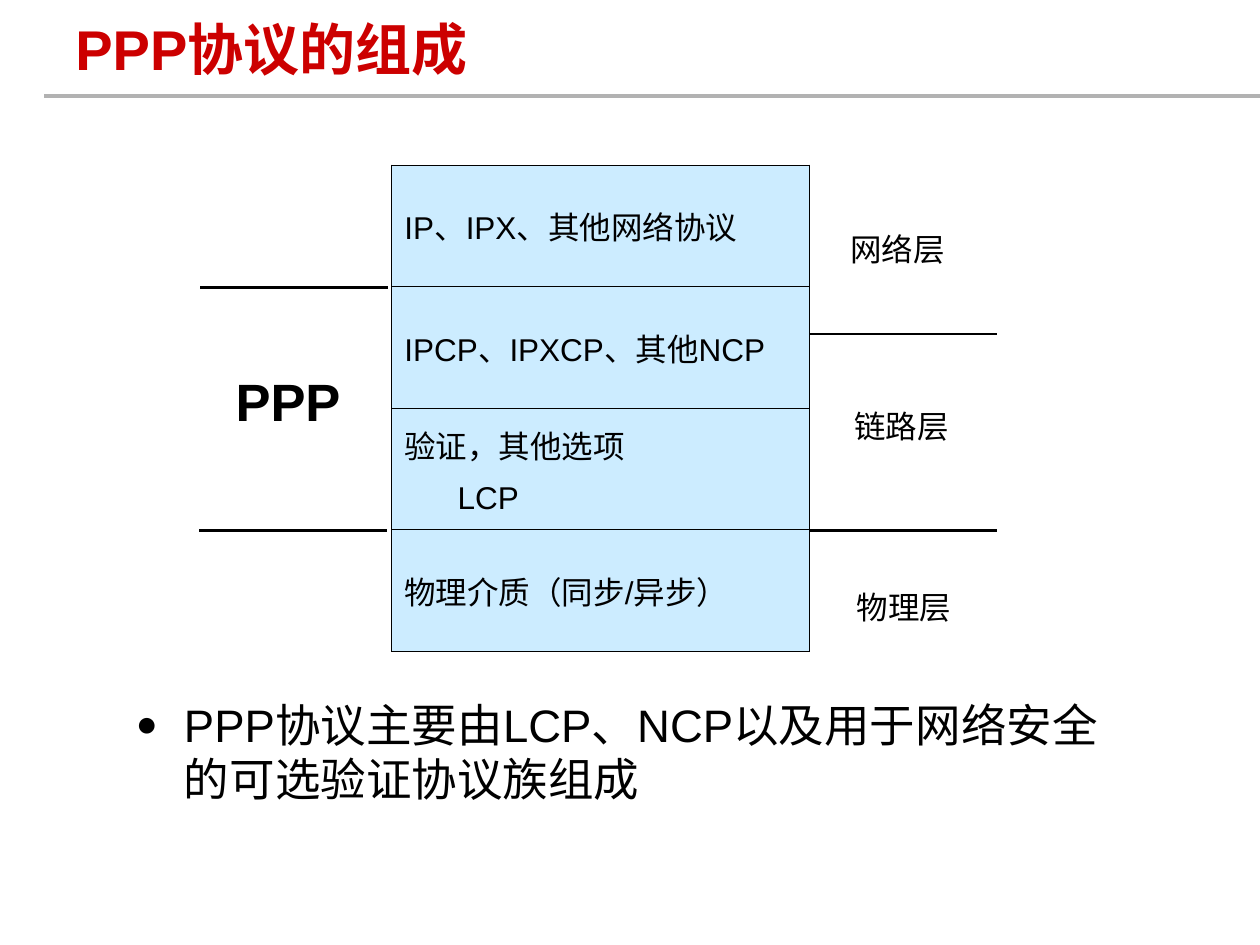
"""Build the slide on the parts of the PPP protocol."""
from dataclasses import dataclass

from lxml import etree
from pptx import Presentation
from pptx import util as u
from pptx.dml.color import RGBColor
from pptx.enum import shapes, text
from pptx.oxml import ns

COLOURS = {"title": "CC0000", "ink": "000000", "cell": "CCECFF", "rule": "B2B2B2"}
FONT = "Arial"
STACK_LEFT, STACK_TOP, STACK_WIDTH, LAYER_HEIGHT = 7.9, 3.33, 8.41, 2.45
STACK_RIGHT = STACK_LEFT + STACK_WIDTH
LCP_INDENT, BULLET_INDENT = 1.07, 0.97
LAYERS = [
    ["IP、IPX、其他网络协议"],
    ["IPCP、IPXCP、其他NCP"],
    ["验证，其他选项", "LCP"],
    ["物理介质（同步/异步）"],
]


@dataclass
class Label:
    """A piece of text and its place in centimetres."""
    words: str
    left: float
    top: float
    width: float
    height: float
    size: float = 18
    bold: bool = False
    colour: str = "ink"
    middle: bool = False
    grow: bool = True


@dataclass
class Rule:
    """A horizontal line in centimetres."""
    start: float
    end: float
    y: float
    weight: float = 1.5
    colour: str = "ink"


LABELS = [
    Label("PPP协议的组成", 1.27, 0.13, 20.12, 1.7, 32, True, "title", True, False),
    Label("PPP", 4.5, 7.32, 3.2, 1.52, 30, True),
    Label("网络层", 16.89, 4.52, 3.2, 1.02),
    Label("链路层", 16.97, 8.08, 3.81, 1.02),
    Label("物理层", 17.02, 11.73, 3.81, 1.02),
]
SUMMARY = Label("PPP协议主要由LCP、NCP以及用于网络安全的可选验证协议族组成",
                2.49, 13.92, 20.8, 3.4, 26, grow=False)
RULES = [
    Rule(0.89, 25.4, 1.93, 2.25, "rule"),
    Rule(20.09, STACK_RIGHT, 6.73),
    Rule(20.09, STACK_RIGHT, 10.69),
    Rule(7.82, 4.04, 5.79),
    Rule(7.8, 4.01, 10.69),
]


def rgb(name: str) -> RGBColor:
    """Look up a named colour."""
    return RGBColor.from_string(COLOURS[name])


def format_runs(paragraph, size: float, colour: str = "ink", bold: bool = False) -> None:
    """Set the font of every run in a paragraph."""
    for run in paragraph.runs:
        run.font.name, run.font.size, run.font.bold = FONT, u.Pt(size), bold
        run.font.color.rgb = rgb(colour)


def add_label(slide, label: Label):
    """Add a text box and return its paragraph."""
    box = slide.shapes.add_textbox(u.Cm(label.left), u.Cm(label.top),
                                   u.Cm(label.width), u.Cm(label.height))
    frame = box.text_frame
    frame.text = label.words
    frame.word_wrap = True
    frame.auto_size = (text.MSO_AUTO_SIZE.SHAPE_TO_FIT_TEXT if label.grow
                       else text.MSO_AUTO_SIZE.NONE)
    frame.vertical_anchor = text.MSO_ANCHOR.MIDDLE if label.middle else text.MSO_ANCHOR.TOP
    format_runs(frame.paragraphs[0], label.size, label.colour, label.bold)
    return frame.paragraphs[0]


def add_bullet(paragraph) -> None:
    """Give a paragraph a hanging round bullet."""
    properties = paragraph._p.get_or_add_pPr()
    properties.set("marL", str(u.Cm(BULLET_INDENT)))
    properties.set("indent", str(-u.Cm(BULLET_INDENT)))
    colour = etree.SubElement(properties, ns.qn("a:buClr"))
    etree.SubElement(colour, ns.qn("a:srgbClr"), val=COLOURS["ink"])
    etree.SubElement(properties, ns.qn("a:buSzPct"), val="80000")
    etree.SubElement(properties, ns.qn("a:buFont"), typeface=FONT)
    etree.SubElement(properties, ns.qn("a:buChar"), char="●")


def add_rule(slide, rule: Rule) -> None:
    """Draw a horizontal line without a shadow."""
    line = slide.shapes.add_connector(shapes.MSO_CONNECTOR.STRAIGHT, u.Cm(rule.start),
                                      u.Cm(rule.y), u.Cm(rule.end), u.Cm(rule.y))
    line.line.color.rgb = rgb(rule.colour)
    line.line.width = u.Pt(rule.weight)
    etree.SubElement(line._element.spPr, ns.qn("a:effectLst"))


def add_borders(cell) -> None:
    """Draw thin lines on all four sides of a cell."""
    properties = cell._tc.get_or_add_tcPr()
    for side in ("lnL", "lnR", "lnT", "lnB"):
        line = etree.SubElement(properties, ns.qn(f"a:{side}"), w=str(u.Pt(0.75)))
        fill = etree.SubElement(line, ns.qn("a:solidFill"))
        etree.SubElement(fill, ns.qn("a:srgbClr"), val=COLOURS["ink"])


def add_stack(slide) -> None:
    """Add the table of protocol layers."""
    stack = slide.shapes.add_table(
        len(LAYERS), 1, u.Cm(STACK_LEFT), u.Cm(STACK_TOP), u.Cm(STACK_WIDTH),
        u.Cm(LAYER_HEIGHT * len(LAYERS))).table
    stack.first_row = stack.horz_banding = False
    for row, lines in enumerate(LAYERS):
        cell = stack.cell(row, 0)
        cell.text_frame.text = "\n".join(lines)
        cell.vertical_anchor = text.MSO_ANCHOR.MIDDLE
        add_borders(cell)
        cell.fill.solid()
        cell.fill.fore_color.rgb = rgb("cell")
        for position, paragraph in enumerate(cell.text_frame.paragraphs):
            paragraph.space_after = u.Pt(5.6)
            if position:
                paragraph.space_before = u.Pt(2.2)
                paragraph._p.get_or_add_pPr().set("marL", str(u.Cm(LCP_INDENT)))
            format_runs(paragraph, 18)


def main() -> None:
    """Build and save the slide."""
    deck = Presentation()
    deck.slide_width, deck.slide_height = u.Cm(25.4), u.Cm(19.05)
    slide = deck.slides.add_slide(deck.slide_layouts[6])
    add_stack(slide)
    for rule in RULES:
        add_rule(slide, rule)
    for label in LABELS:
        add_label(slide, label)
    add_bullet(add_label(slide, SUMMARY))
    deck.save("out.pptx")


if __name__ == "__main__":
    main()
